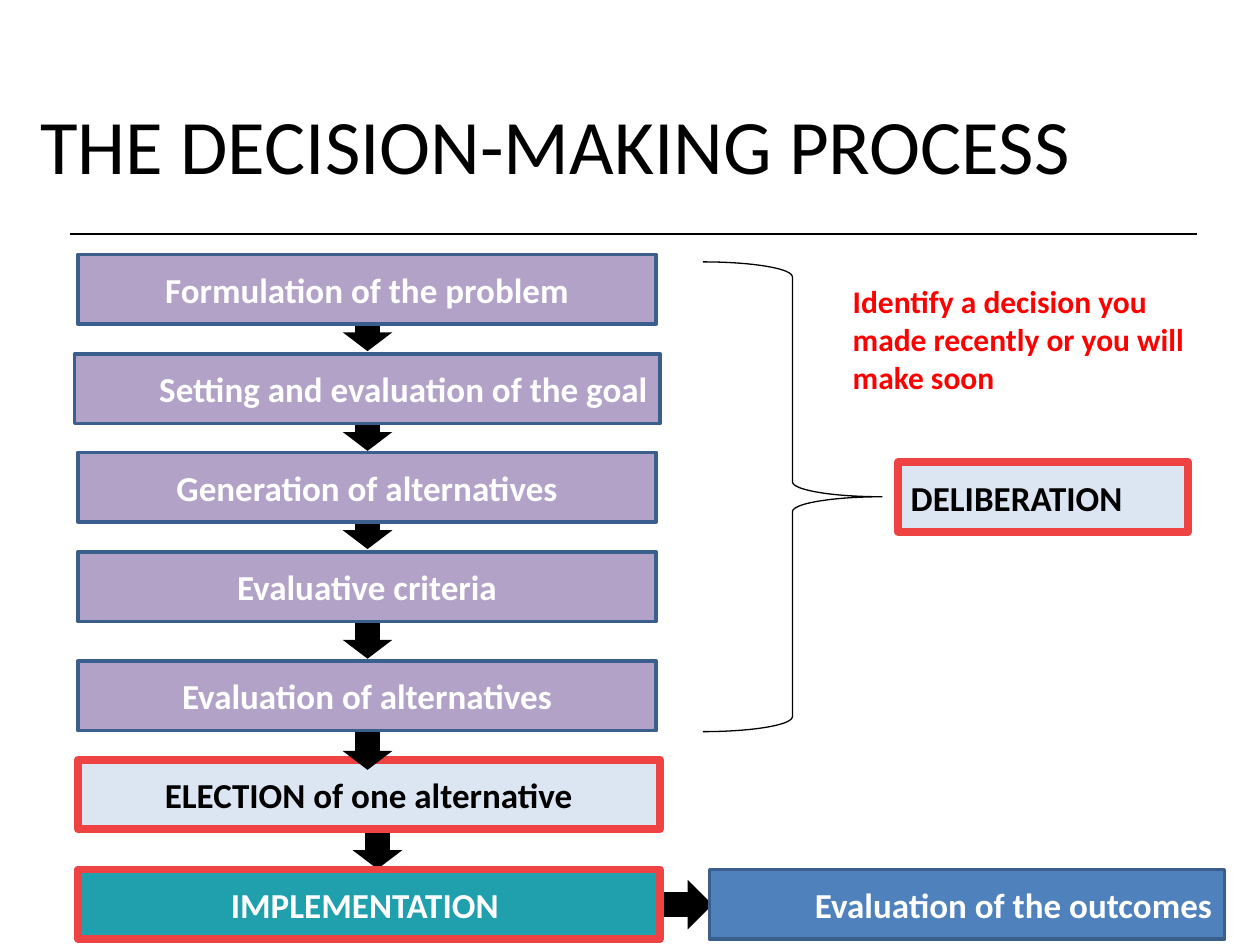
from pptx import Presentation
from pptx.dml.color import RGBColor
from pptx.enum.shapes import MSO_CONNECTOR, MSO_SHAPE
from pptx.enum.text import MSO_ANCHOR as ANCHOR, MSO_AUTO_SIZE as AUTO_SIZE, PP_ALIGN as ALIGN
from pptx.oxml.ns import qn
from pptx.util import Cm, Pt
from lxml import etree

BLACK = RGBColor(0x00, 0x00, 0x00)
WHITE = RGBColor(0xFF, 0xFF, 0xFF)
RED = RGBColor(0xFF, 0x00, 0x00)
LILAC = RGBColor(0xB3, 0xA2, 0xC7)
PALE_BLUE = RGBColor(0xDC, 0xE6, 0xF2)
BLUE = RGBColor(0x4F, 0x81, 0xBD)
TEAL = RGBColor(0x20, 0xA0, 0xAC)
NAVY_EDGE = RGBColor(0x3A, 0x5F, 0x8C)
RED_EDGE = RGBColor(0xEF, 0x43, 0x43)

BOX_HEIGHT = 1.4
NAVY_LINE = (NAVY_EDGE, 2)
RED_LINE = (RED_EDGE, 4.5)


def add_figure(kind, left, top, width, height, fill=None, line=None):
    shape = slide.shapes.add_shape(kind, Cm(left), Cm(top), Cm(width), Cm(height))
    shape.shadow.inherit = False
    if fill is None:
        shape.fill.background()
    else:
        shape.fill.solid()
        shape.fill.fore_color.rgb = fill
    if line is None:
        shape.line.fill.background()
    else:
        shape.line.color.rgb, shape.line.width = line[0], Pt(line[1])
    return shape


def write(frame, lines, size, color, align, bold=True):
    frame.text = "\n".join(lines)
    for paragraph in frame.paragraphs:
        paragraph.alignment = align
        formats = {"name": "Calibri", "size": Pt(size), "bold": bold}
        for name, value in formats.items():
            setattr(paragraph.font, name, value)
        paragraph.font.color.rgb = color


presentation = Presentation()
presentation.slide_width, presentation.slide_height = Cm(25.4), Cm(19.05)
slide = presentation.slides.add_slide(presentation.slide_layouts[5])

# Title and rule
title = slide.shapes.title
title_place = {"left": Cm(0), "top": Cm(1.52), "width": Cm(22.4), "height": Cm(2.74)}
for name, value in title_place.items():
    setattr(title, name, value)
title.text_frame.vertical_anchor = ANCHOR.MIDDLE
write(title.text_frame, ["THE DECISION-MAKING PROCESS"], 44, BLACK, ALIGN.CENTER, False)

rule = slide.shapes.add_connector(MSO_CONNECTOR.STRAIGHT, Cm(1.42), Cm(4.72), Cm(24.13), Cm(4.72))
rule.line.color.rgb, rule.line.width = BLACK, Pt(0.75)
etree.SubElement(rule._element.spPr, qn("a:effectLst"))

# Arrows that lie behind the boxes
for left, top in [(6.91, 6.32), (6.91, 8.33), (6.91, 10.31), (6.91, 12.52), (7.11, 16.76)]:
    add_figure(MSO_SHAPE.DOWN_ARROW, left, top, 1, 0.76, BLACK)
outcome_arrow = add_figure(MSO_SHAPE.DOWN_ARROW, 13.33, 17.7, 1, 1.07, BLACK)
outcome_arrow.rotation = 270

# Steps, deliberation and outcomes
boxes = [
    ("Formulation of the problem", 1.57, 5.13, 11.66, LILAC, NAVY_LINE, WHITE, ALIGN.CENTER),
    ("Setting and evaluation of the goal", 1.5, 7.14, 11.81, LILAC, NAVY_LINE, WHITE, ALIGN.RIGHT),
    ("Generation of alternatives", 1.57, 9.12, 11.66, LILAC, NAVY_LINE, WHITE, ALIGN.CENTER),
    ("Evaluative criteria", 1.57, 11.13, 11.66, LILAC, NAVY_LINE, WHITE, ALIGN.CENTER),
    ("Evaluation of alternatives", 1.57, 13.33, 11.66, LILAC, NAVY_LINE, WHITE, ALIGN.CENTER),
    ("ELECTION of one alternative", 1.57, 15.32, 11.73, PALE_BLUE, RED_LINE, BLACK, ALIGN.CENTER),
    ("Evaluation of the outcomes", 14.3, 17.53, 10.39, BLUE, NAVY_LINE, WHITE, ALIGN.RIGHT),
    ("IMPLEMENTATION ", 1.57, 17.53, 11.73, TEAL, RED_LINE, WHITE, ALIGN.CENTER),
    ("DELIBERATION", 18.11, 9.32, 5.84, PALE_BLUE, RED_LINE, BLACK, ALIGN.LEFT),
]
for text, left, top, width, fill, line, color, align in boxes:
    box = add_figure(MSO_SHAPE.RECTANGLE, left, top, width, BOX_HEIGHT, fill, line)
    box.text_frame.vertical_anchor = ANCHOR.MIDDLE
    write(box.text_frame, [text], 20, color, align)

# Arrow that overlaps the election box
add_figure(MSO_SHAPE.DOWN_ARROW, 6.91, 14.76, 1, 0.76, BLACK)

# Brace around the deliberation steps
add_figure(MSO_SHAPE.RIGHT_BRACE, 14.17, 5.28, 3.61, 9.47, None, (BLACK, 0.75))

# Task for the audience
task = slide.shapes.add_textbox(Cm(16.94), Cm(5.56), Cm(7.39), Cm(2.57))
task.text_frame.word_wrap = False
task.text_frame.auto_size = AUTO_SIZE.SHAPE_TO_FIT_TEXT
task_lines = ["Identify a decision you", "made recently or you will", "make soon"]
write(task.text_frame, task_lines, 18, RED, ALIGN.LEFT)

presentation.save("out.pptx")
